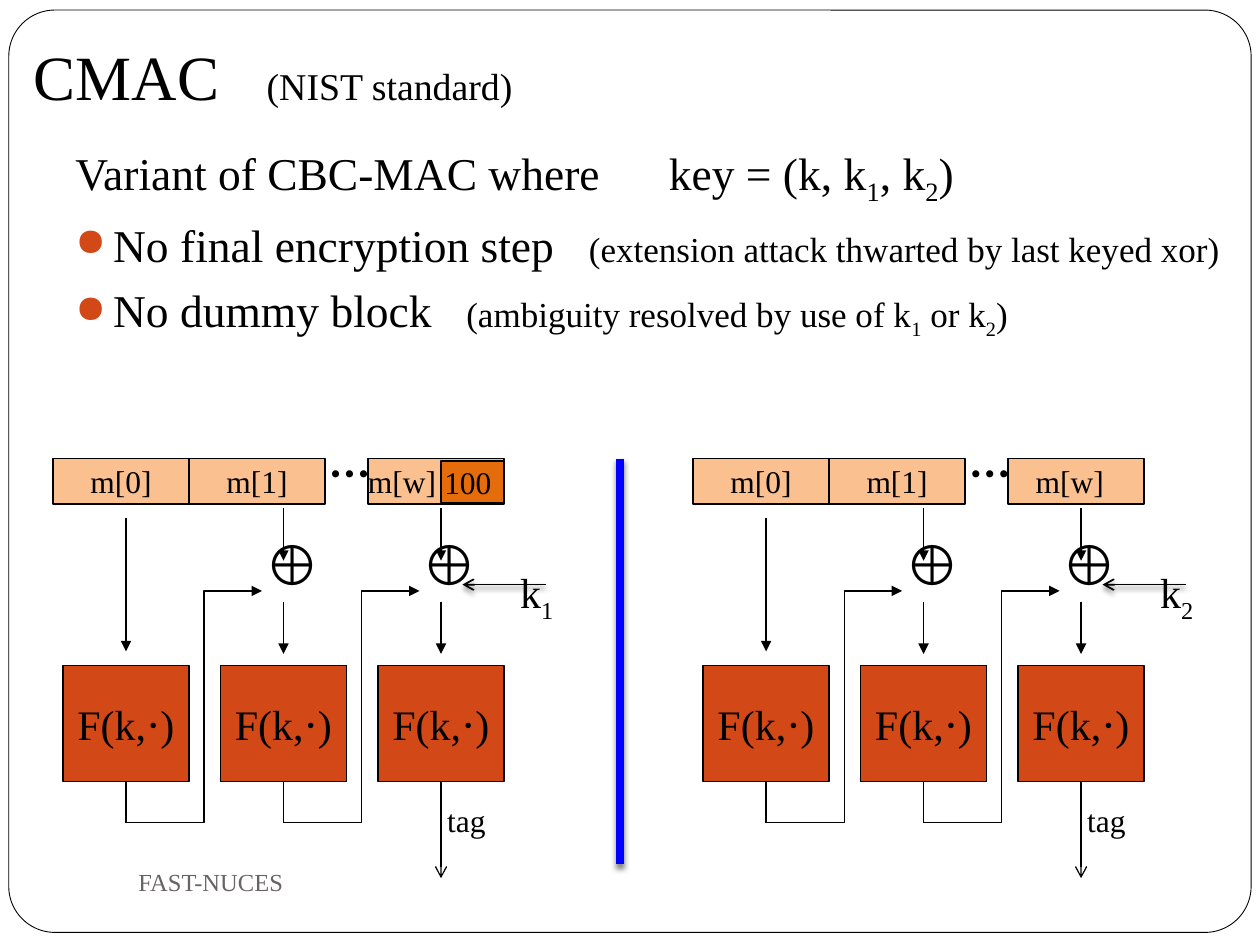
"""Build the CMAC slide with its padded and unpadded message chains."""
from lxml.etree import SubElement
from pptx import Presentation
from pptx.dml.color import RGBColor
from pptx.enum.shapes import MSO_CONNECTOR, MSO_SHAPE
from pptx.enum.text import MSO_ANCHOR, MSO_AUTO_SIZE, PP_ALIGN
from pptx.oxml.ns import qn
from pptx.util import Inches, Pt

COLORS = {
    "black": "000000", "white": "FFFFFF", "cipher": "D34817", "block": "FAC090",
    "padding": "E46C0A", "divider": "0000FF", "footer": "696464",
}
FONT = "Times New Roman"


def write(para, pieces, color="black"):
    """Add (text, size, baseline, letter spacing) pieces as formatted spans."""
    for text, size, *extras in pieces:
        span = para.add_run()
        span.text = text
        span.font.name = FONT
        span.font.size = Pt(size)
        span.font.color.rgb = RGBColor.from_string(COLORS[color])
        for name, value in zip(("baseline", "spc"), extras):
            if value:
                span.font._element.set(name, str(value))


def draw_line(start, end, head=None, color="black", width=0.75, shadow=False):
    """Draw a straight connector with an optional arrowhead and soft shadow."""
    points = [Inches(value) for value in (*start, *end)]
    line = page.shapes.add_connector(MSO_CONNECTOR.STRAIGHT, *points)
    line.line.color.rgb = RGBColor.from_string(COLORS[color])
    line.line.width = Pt(width)
    if head:
        SubElement(line.line._get_or_add_ln(), qn("a:tailEnd"), type=head)
    effects = SubElement(line._element.spPr, qn("a:effectLst"))
    if shadow:
        outer = SubElement(effects, qn("a:outerShdw"), blurRad=str(Pt(3)),
                           dist=str(Pt(2)), dir="5400000", rotWithShape="0")
        shade = SubElement(outer, qn("a:srgbClr"), val=COLORS["black"])
        SubElement(shade, qn("a:alpha"), val="50000")
    return line


deck = Presentation()
deck.slide_width, deck.slide_height = Inches(10), Inches(7.5)
page = deck.slides.add_slide(deck.slide_layouts[6])

frame = page.shapes.add_shape(MSO_SHAPE.ROUNDED_RECTANGLE, Inches(0.07), Inches(0.08),
                              Inches(9.86), Inches(7.32))
frame.adjustments[0] = 0.05
frame.shadow.inherit = False
frame.fill.solid()
frame.fill.fore_color.rgb = RGBColor.from_string(COLORS["white"])
frame.line.color.rgb = RGBColor.from_string(COLORS["black"])
frame.line.width = Pt(0.5)

title = page.shapes.add_textbox(Inches(0.17), Inches(0.25), Inches(9.75), Inches(0.75))
title.text_frame.word_wrap = True
title.text_frame.vertical_anchor = MSO_ANCHOR.BOTTOM
title.text_frame.margin_bottom = Inches(0.1)
write(title.text_frame.paragraphs[0],
      [("CMAC", 36), (" ", 36, 0, 1800), ("(NIST standard)", 21.6)])

body = page.shapes.add_textbox(Inches(0.5), Inches(1.1), Inches(9.5), Inches(2.25))
body.text_frame.word_wrap = True
write(body.text_frame.paragraphs[0], [
    ("Variant of CBC-MAC where", 26), (" ", 26, 0, 3250), ("key = (k, k", 26),
    ("1", 26, -25000), (", k", 26), ("2", 26, -25000), (")", 26),
])
bullets = [
    [("No final encryption step", 26), (" ", 26, 0, 1300),
     ("(extension attack thwarted by last keyed xor)", 20)],
    [("No dummy block", 26), (" ", 26, 0, 1300), ("(ambiguity resolved by use of k", 20),
     ("1", 20, -25000), (" or k", 20), ("2", 20, -25000), (")", 20)],
]
for pieces in bullets:
    para = body.text_frame.add_paragraph()
    para.space_before = Pt(6)
    properties = para._p.get_or_add_pPr()
    properties.set("marL", str(Inches(0.3)))
    properties.set("indent", str(-Inches(0.3)))
    bullet_color = SubElement(properties, qn("a:buClr"))
    SubElement(bullet_color, qn("a:srgbClr"), val=COLORS["cipher"])
    SubElement(properties, qn("a:buSzPct"), val="85000")
    SubElement(properties, qn("a:buChar"), char="●")
    write(para, pieces)

STEP = 1.25
for left, key_number, padded in ((0.5, "1", True), (5.58, "2", False)):
    last_align = PP_ALIGN.LEFT if padded else PP_ALIGN.CENTER
    rectangles = [
        ("F(k,⋅)", left + STEP * index, 5.28, 1, 0.92, "cipher", 24, PP_ALIGN.CENTER)
        for index in range(3)
    ] + [
        ("m[0]", left - 0.08, 3.64, 1.08, 0.36, "block", 18, PP_ALIGN.CENTER),
        ("m[1]", left + 1, 3.64, 1.08, 0.36, "block", 18, PP_ALIGN.CENTER),
        ("m[w]", left + 2.42, 3.64, 1.08, 0.36, "block", 18, last_align),
    ]
    if padded:
        rectangles.append(("100", left + 3, 3.66, 0.5, 0.33, "padding", 18, PP_ALIGN.RIGHT))
    ciphers = []
    for text, x, y, width, height, color, size, align in rectangles:
        box = page.shapes.add_shape(MSO_SHAPE.RECTANGLE, Inches(x), Inches(y),
                                    Inches(width), Inches(height))
        box.shadow.inherit = False
        box.fill.solid()
        box.fill.fore_color.rgb = RGBColor.from_string(COLORS[color])
        box.line.color.rgb = RGBColor.from_string(COLORS["black"])
        box.line.width = Pt(0.75)
        box.text_frame.word_wrap = False
        box.text_frame.vertical_anchor = MSO_ANCHOR.MIDDLE
        if text == "m[w]":
            box.text_frame.margin_left = 0
        box.text_frame.paragraphs[0].alignment = align
        write(box.text_frame.paragraphs[0], [(text, size)])
        if color == "cipher":
            ciphers.append(box)

    labels = [
        ([("⊕", 32)], left + 1.5, 4.15, 0.55, 0.64),
        ([("⊕", 32)], left + 1.5 + STEP, 4.15, 0.55, 0.64),
        ([("⋯", 24)], left + 2.01, 3.47, 0.48, 0.5),
        ([("tag", 18)], left + 2.95, 6.31, 0.55, 0.4),
        ([("k", 24), (key_number, 24, -25000)], left + 3.53, 4.45, 0.49, 0.5),
    ]
    for pieces, x, y, width, height in labels:
        label = page.shapes.add_textbox(Inches(x), Inches(y), Inches(width), Inches(height))
        label.text_frame.word_wrap = False
        label.text_frame.auto_size = MSO_AUTO_SIZE.SHAPE_TO_FIT_TEXT
        write(label.text_frame.paragraphs[0], pieces)
        if pieces[0][0] == "⋯":
            label.text_frame.paragraphs[0].runs[0].font.bold = True

    for index, cipher in enumerate(ciphers):
        center = left + 0.5 + STEP * index
        if index == 0:
            draw_line((center, 4.11), (center, 5.17), "triangle")
        else:
            draw_line((center, 4.03), (center, 4.45), "triangle")
            draw_line((center, 4.78), (center, 5.19), "triangle")
        is_last = index == 2
        output = draw_line((center, 6.2), (center, 6.97 if is_last else 6.53),
                           "arrow" if is_last else None)
        output.begin_connect(cipher, 2)
        if not is_last:
            builder = page.shapes.build_freeform(Inches(center), Inches(6.53))
            corners = [(0.62, 6.53), (0.62, 4.69), (1.08, 4.69)]
            builder.add_line_segments(
                [(Inches(center + x), Inches(y)) for x, y in corners], close=False)
            feedback = builder.convert_to_shape()
            feedback.shadow.inherit = False
            feedback.fill.background()
            feedback.line.color.rgb = RGBColor.from_string(COLORS["black"])
            feedback.line.width = Pt(0.75)
            SubElement(feedback.line._get_or_add_ln(), qn("a:tailEnd"), type="triangle")
    draw_line((left + 3.83, 4.64), (left + 3.17, 4.64), "arrow", width=1, shadow=True)

draw_line((4.92, 3.64), (4.92, 6.86), color="divider", width=4.5, shadow=True)

footer = page.shapes.add_textbox(Inches(1), Inches(6.75), Inches(4.33), Inches(0.5))
footer.text_frame.word_wrap = True
footer.text_frame.vertical_anchor = MSO_ANCHOR.MIDDLE
write(footer.text_frame.paragraphs[0], [("FAST-NUCES", 14)], "footer")

deck.save("out.pptx")
